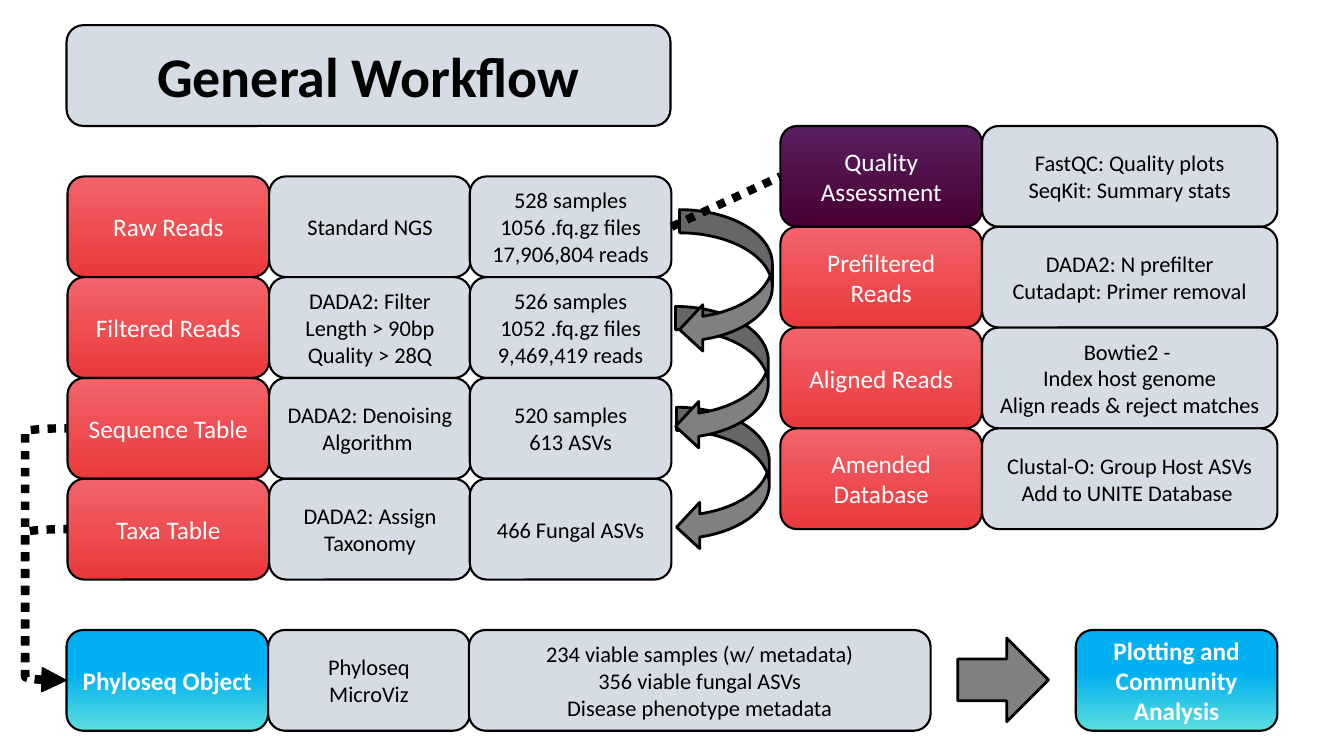
from dataclasses import dataclass

from lxml.etree import SubElement
from pptx import Presentation
from pptx.dml.color import RGBColor
from pptx.enum.dml import MSO_LINE
from pptx.enum.shapes import MSO_CONNECTOR, MSO_SHAPE as Shp
from pptx.enum.text import MSO_ANCHOR, PP_ALIGN
from pptx.oxml.ns import qn
from pptx.util import Inches, Pt

COLORS = {
    "black": "000000", "white": "FFFFFF", "panel": "D6DCE5", "arrow": "808080",
    "red_low": "EA393C", "red_high": "F2646A",
    "purple_low": "490032", "purple_high": "582060",
    "blue_low": "5BDEDE", "blue_high": "00B0F0",
}
FONT = "Calibri"
STEP_W, ROW_H = 2, 1
SAMPLE_X, SIDE_X = (0.67, 2.67, 4.66), (7.74, 9.74)
SAMPLE_W, SIDE_W = (STEP_W,) * 3, (STEP_W, 2.93)


@dataclass(frozen=True)
class Gradient:
    low: str
    high: str
    high_at: float = 1.0


RED = Gradient("red_low", "red_high")
PURPLE = Gradient("purple_low", "purple_high")
BLUE = Gradient("blue_low", "blue_high", 0.58)


@dataclass(frozen=True)
class Row:
    """A coloured step followed by its detail boxes."""
    y: float
    step: str
    details: tuple[str, ...] = ()
    fill: Gradient = RED
    bold: bool = False
    xs: tuple[float, ...] = SAMPLE_X
    widths: tuple[float, ...] = SAMPLE_W


@dataclass(frozen=True)
class Mark:
    """An untexted arrow or bracket."""
    kind: Shp
    x: float
    y: float
    w: float
    h: float


ROWS = [
    Row(1.75, "Raw Reads", ("Standard NGS", "528 samples\n1056 .fq.gz files\n17,906,804 reads")),
    Row(2.75, "Filtered Reads", ("DADA2: Filter\nLength > 90bp\nQuality > 28Q",
                                 "526 samples\n1052 .fq.gz files\n9,469,419 reads")),
    Row(3.75, "Sequence Table", ("DADA2: Denoising Algorithm ", "520 samples\n613 ASVs")),
    Row(4.75, "Taxa Table", ("DADA2: Assign Taxonomy", "466 Fungal ASVs")),
    Row(1.25, "Quality Assessment", ("FastQC: Quality plots\nSeqKit: Summary stats",),
        fill=PURPLE, xs=SIDE_X, widths=SIDE_W),
    Row(2.25, "Prefiltered Reads", ("DADA2: N prefilter\nCutadapt: Primer removal",),
        xs=SIDE_X, widths=SIDE_W),
    Row(3.25, "Aligned Reads",
        ("Bowtie2 - \nIndex host genome\nAlign reads & reject matches",),
        xs=SIDE_X, widths=SIDE_W),
    Row(4.25, "Amended Database", ("Clustal-O: Group Host ASVs\nAdd to UNITE Database ",),
        xs=SIDE_X, widths=SIDE_W),
    Row(6.25, "Phyloseq Object",
        ("Phyloseq\nMicroViz",
         "234 viable samples (w/ metadata)\n356 viable fungal ASVs\nDisease phenotype metadata"),
        fill=BLUE, bold=True, xs=(0.66, 2.66, 4.65), widths=(STEP_W, STEP_W, 4.58)),
    Row(6.25, "Plotting and Community Analysis", fill=BLUE, bold=True,
        xs=(10.67,), widths=(STEP_W,)),
]
ARROWS = [
    Mark(Shp.CURVED_LEFT_ARROW, 6.71, 4.04, 0.92, 1.42),
    Mark(Shp.CURVED_LEFT_ARROW, 6.7, 3.04, 0.92, 1.42),
    Mark(Shp.CURVED_LEFT_ARROW, 6.74, 2.08, 0.92, 1.42),
    Mark(Shp.RIGHT_ARROW, 9.5, 6.33, 0.9, 0.83),
]
BRACKETS = [
    Mark(Shp.LEFT_BRACKET, 0.25, 4.25, 0.41, 2.5),
    Mark(Shp.LEFT_BRACKET, 0.25, 5.25, 0.42, 1.5),
]


def rgb(name: str) -> RGBColor:
    return RGBColor.from_string(COLORS[name])


def set_line(sp, width: float, dotted: bool = False) -> None:
    sp.line.color.rgb = rgb("black")
    sp.line.width = Pt(width)
    if dotted:
        sp.line.dash_style = MSO_LINE.ROUND_DOT


def set_fill(sp, fill: Gradient | str | None) -> None:
    if fill is None:
        sp.fill.background()
    elif isinstance(fill, str):
        sp.fill.solid()
        sp.fill.fore_color.rgb = rgb(fill)
    else:
        sp.fill.gradient()
        sp.fill.gradient_angle = 90  # low colour at the bottom
        low, high = sp.fill.gradient_stops
        low.color.rgb, low.position = rgb(fill.low), 0
        high.color.rgb, high.position = rgb(fill.high), fill.high_at


def add_mark(s, m: Mark, fill: Gradient | str | None, width: float, dotted: bool = False):
    sp = s.shapes.add_shape(m.kind, Inches(m.x), Inches(m.y), Inches(m.w), Inches(m.h))
    sp.shadow.inherit = False
    set_fill(sp, fill)
    set_line(sp, width, dotted)
    return sp


def write(sp, text: str, *, size: float = 16, color: str = "black", bold: bool = False) -> None:
    tf = sp.text_frame
    tf.word_wrap = True
    tf.vertical_anchor = MSO_ANCHOR.MIDDLE
    for i, line in enumerate(text.split("\n")):
        p = tf.paragraphs[0] if i == 0 else tf.add_paragraph()
        p.alignment = PP_ALIGN.CENTER
        r = p.add_run()
        r.text = line
        r.font.name, r.font.size, r.font.bold = FONT, Pt(size), bold
        r.font.color.rgb = rgb(color)


def add_box(s, x: float, y: float, w: float, fill: Gradient | str, text: str, **fmt):
    sp = add_mark(s, Mark(Shp.ROUNDED_RECTANGLE, x, y, w, ROW_H), fill, 1.5)
    write(sp, text, **fmt)
    return sp


def add_row(s, row: Row) -> list:
    step = add_box(s, row.xs[0], row.y, row.widths[0], row.fill, row.step,
                   size=18, color="white", bold=row.bold)
    return [step] + [add_box(s, x, row.y, w, "panel", text)
                     for x, w, text in zip(row.xs[1:], row.widths[1:], row.details)]


def join_dotted(s, start, end) -> None:
    """Dotted line from the right side of start to the left side of end."""
    cx = s.shapes.add_connector(MSO_CONNECTOR.STRAIGHT, 0, 0, 0, 0)
    cx.begin_connect(start, 3)
    cx.end_connect(end, 1)
    set_line(cx, 6, dotted=True)
    SubElement(cx._element.spPr, qn("a:effectLst"))


def main() -> None:
    prs = Presentation()
    prs.slide_width, prs.slide_height = Inches(13.33), Inches(7.5)
    s = prs.slides.add_slide(prs.slide_layouts[6])

    # Arrows between steps
    for m in ARROWS:
        add_mark(s, m, "arrow", 2)

    # Title and workflow boxes
    add_box(s, 0.66, 0.25, 5.99, "panel", "General Workflow", size=40, bold=True)
    boxes = {row.step: add_row(s, row) for row in ROWS}

    # Dotted links
    join_dotted(s, boxes["Raw Reads"][-1], boxes["Quality Assessment"][0])
    for m in BRACKETS:
        sp = add_mark(s, m, None, 6, dotted=True)
        ln = sp._element.spPr.find(qn("a:ln"))
        SubElement(ln, qn("a:headEnd"), type="triangle")

    prs.save("out.pptx")


if __name__ == "__main__":
    main()
